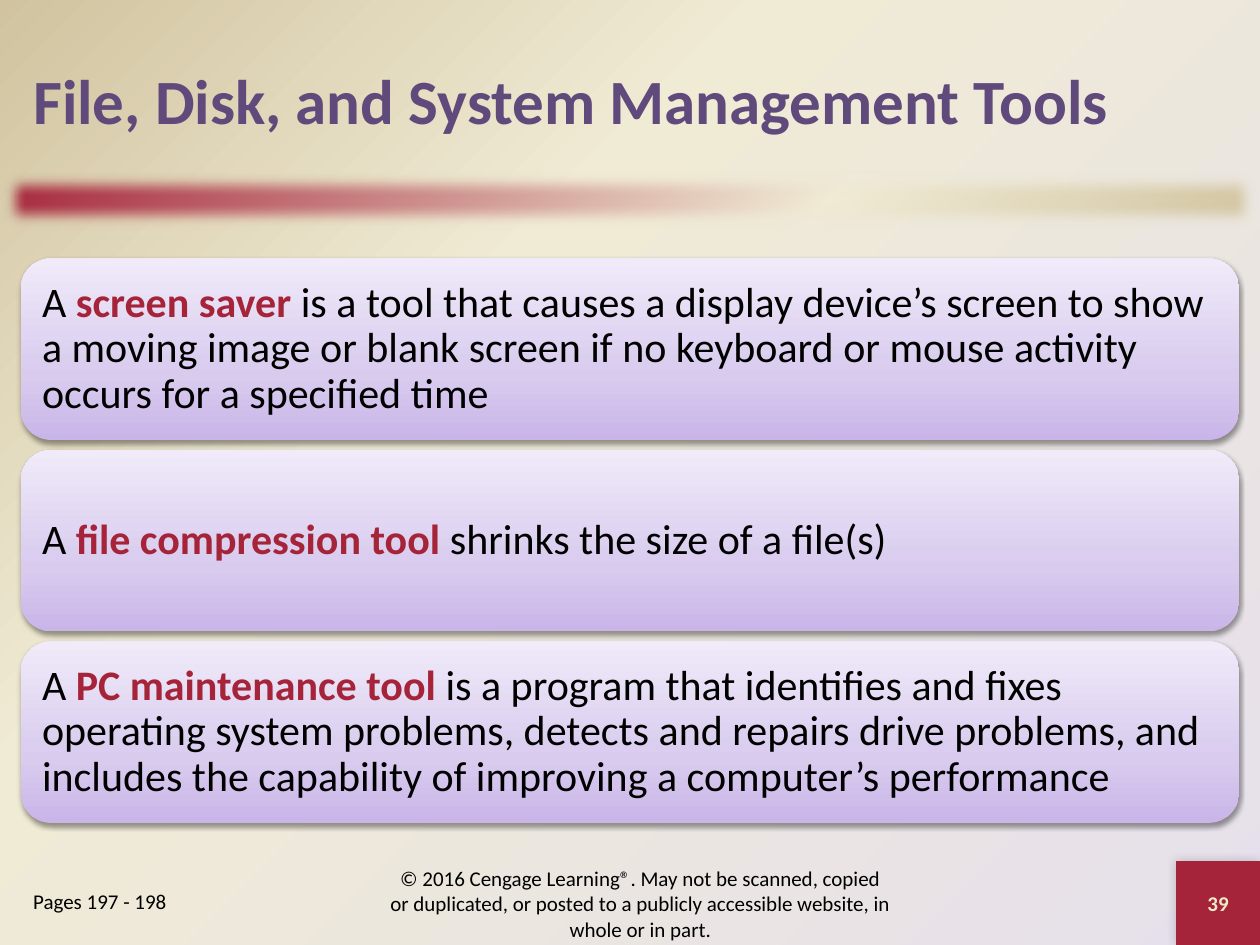
from lxml.etree import SubElement
from pptx import Presentation
from pptx.dml.color import RGBColor
from pptx.enum.shapes import MSO_SHAPE as Shape
from pptx.enum.text import MSO_ANCHOR as Anchor, PP_ALIGN as Align
from pptx.oxml.ns import qn
from pptx.util import Cm, Pt

COLORS = {
    "crimson": "A52439", "cream": "F0EBD5", "sand": "D1C39F", "mist": "E6E0EC",
    "plum": "604A7B", "black": "000000", "ivory": "EEEBCA",
    "violet": "C9B5E8", "lilac": "D8CBEE", "pale": "F0EAF9",
}
CARD_STOPS = [(0, "violet"), (35, "lilac"), (100, "pale")]
BAR_STOPS = [(0, "crimson"), (65, "cream"), (100, "sand")]
PAGE_STOPS = [(0, "mist"), (65, "cream"), (100, "sand")]
MARGIN = Cm(0.42)
CONTENT_WIDTH = Cm(24.56)
INSET = Cm(0.25)
DEFINITIONS = [
    ("screen saver ", "is a tool that causes a display device’s screen to show a moving "
     "image or blank screen if no keyboard or mouse activity occurs for a specified time"),
    ("file compression tool ", "shrinks the size of a file(s)"),
    ("PC maintenance tool ", "is a program that identifies and fixes operating system "
     "problems, detects and repairs drive problems, and includes the capability of "
     "improving a computer’s performance"),
]


def add_node(parent, tag, **attributes):
    return SubElement(parent, qn(tag), {key: str(value) for key, value in attributes.items()})


def set_gradient(fill, owner, stops, angle=None):
    fill.gradient()
    gradient = owner.xpath(".//a:gradFill")[0]
    for child in list(gradient):
        gradient.remove(child)
    stop_list = add_node(gradient, "a:gsLst")
    for position, color in stops:
        stop = add_node(stop_list, "a:gs", pos=position * 1000)
        add_node(stop, "a:srgbClr", val=COLORS[color])
    if angle is None:
        circle = add_node(gradient, "a:path", path="circle")
        add_node(circle, "a:fillToRect", l=100000, t=100000)
    else:
        add_node(gradient, "a:lin", ang=angle * 60000, scaled=0)


def add_panel(slide, kind, left, top, width, height):
    panel = slide.shapes.add_shape(kind, left, top, width, height)
    panel.line.fill.background()
    panel.shadow.inherit = False
    return panel


def effects_of(panel):
    return panel.element.spPr.find(qn("a:effectLst"))


def add_shadow(panel, opacity, blur, distance, direction):
    shadow = add_node(effects_of(panel), "a:outerShdw", blurRad=Pt(blur), dist=Pt(distance),
                      dir=direction * 60000, rotWithShape=0)
    color = add_node(shadow, "a:srgbClr", val=COLORS["black"])
    add_node(color, "a:alpha", val=opacity * 1000)


def style_font(font, size, color, bold=False):
    font.name = "Calibri"
    font.size = Pt(size)
    font.bold = bold
    font.color.rgb = RGBColor.from_string(COLORS[color])


def write(holder, text, size, color, bold=False, align=Align.LEFT, anchor=Anchor.MIDDLE):
    frame = holder.text_frame
    frame.word_wrap = True
    frame.vertical_anchor = anchor
    frame.text = text
    line = frame.paragraphs[0]
    line.alignment = align
    style_font(line.runs[0].font, size, color, bold)


def add_bar(slide):
    bar = add_panel(slide, Shape.RECTANGLE, 0, Cm(3.39), Cm(25.4), Cm(1.27))
    set_gradient(bar.fill, bar.element, BAR_STOPS, 45)
    add_node(effects_of(bar), "a:softEdge", rad=Cm(0.31))


def add_page_number(slide, number):
    side = Cm(1.69)
    corner = add_panel(slide, Shape.RECTANGLE, Cm(25.4) - side, Cm(19.05) - side, side, side)
    corner.fill.solid()
    corner.fill.fore_color.rgb = RGBColor.from_string(COLORS["crimson"])
    add_shadow(corner, 20, 6, 0, 225)
    write(corner, number, 12, "ivory", bold=True, align=Align.CENTER)


def add_definition(slide, top, term, meaning):
    card = add_panel(slide, Shape.ROUNDED_RECTANGLE, MARGIN, top, CONTENT_WIDTH, Cm(3.66))
    set_gradient(card.fill, card.element, CARD_STOPS, 270)
    add_shadow(card, 38, 3.1, 1.6, 90)
    write(card, "A ", 24, "black")
    frame = card.text_frame
    frame.margin_left = frame.margin_right = INSET
    frame.margin_top = frame.margin_bottom = INSET
    sentence = frame.paragraphs[0]
    sentence.line_spacing = 0.9
    for text, color, bold in ((term, "crimson", True), (meaning, "black", False)):
        run = sentence.add_run()
        run.text = text
        style_font(run.font, 24, color, bold)


def add_text(slide, left, top, width, height, text, size, color, **style):
    box = slide.shapes.add_textbox(left, top, width, height)
    write(box, text, size, color, **style)


def main():
    deck = Presentation()
    deck.slide_width, deck.slide_height = Cm(25.4), Cm(19.05)
    slide = deck.slides.add_slide(deck.slide_layouts[6])
    set_gradient(slide.background.fill, slide.element, PAGE_STOPS)

    add_bar(slide)
    add_text(slide, MARGIN, MARGIN, CONTENT_WIDTH, Cm(3.18),
             "File, Disk, and System Management Tools", 36, "plum", bold=True)
    for index, (term, meaning) in enumerate(DEFINITIONS):
        add_definition(slide, Cm(5.21 + 3.86 * index), term, meaning)
    add_text(slide, Cm(7.62), Cm(17.58), Cm(10.58), Cm(1.27),
             "© 2016 Cengage Learning®. May not be scanned, copied or duplicated, or posted "
             "to a publicly accessible website, in whole or in part.",
             12, "black", align=Align.CENTER)
    add_page_number(slide, "39")
    add_text(slide, MARGIN, Cm(17.78), Cm(4.66), Cm(1.27),
             "Pages 197 - 198", 12, "black", anchor=Anchor.TOP)
    deck.save("out.pptx")


if __name__ == "__main__":
    main()
